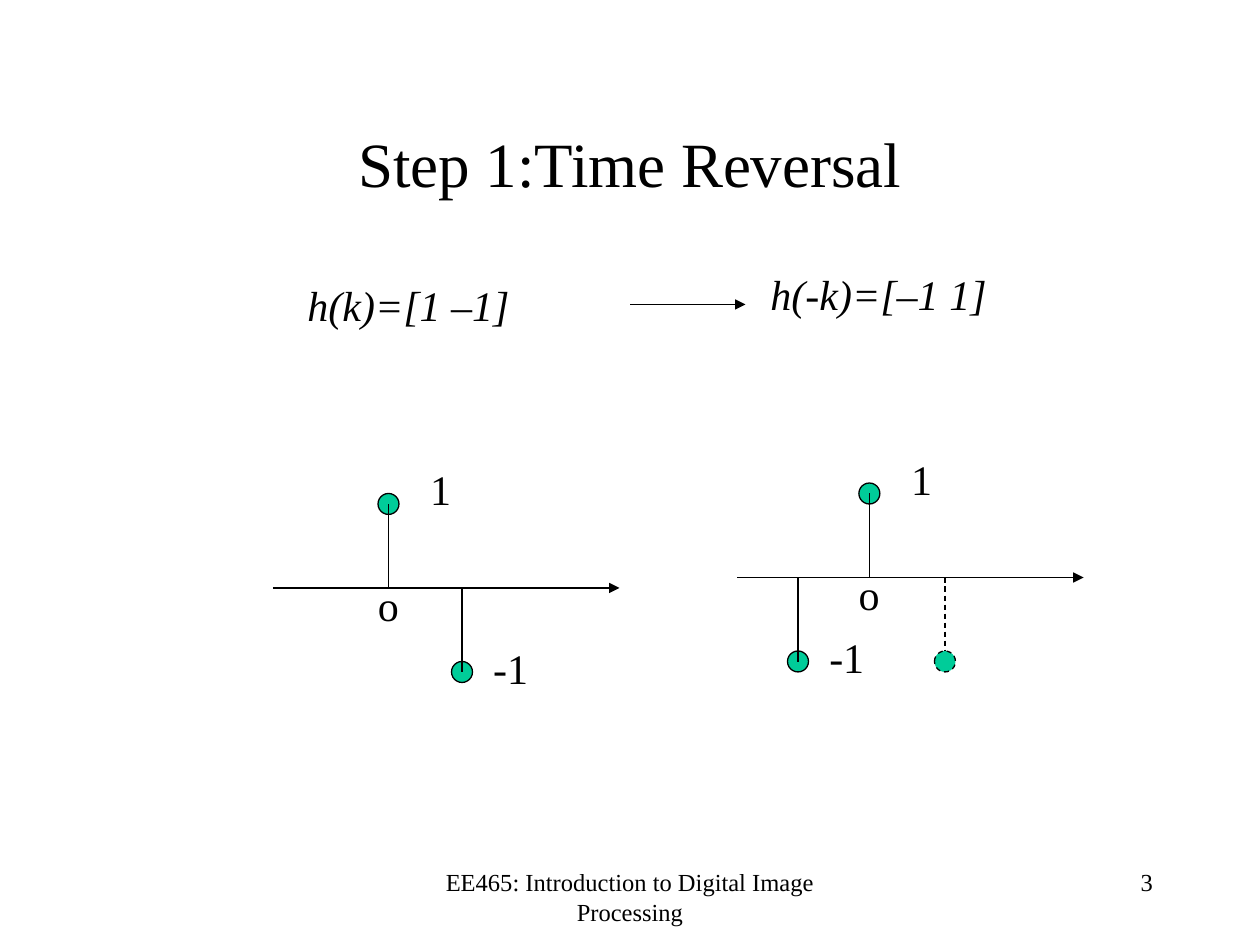
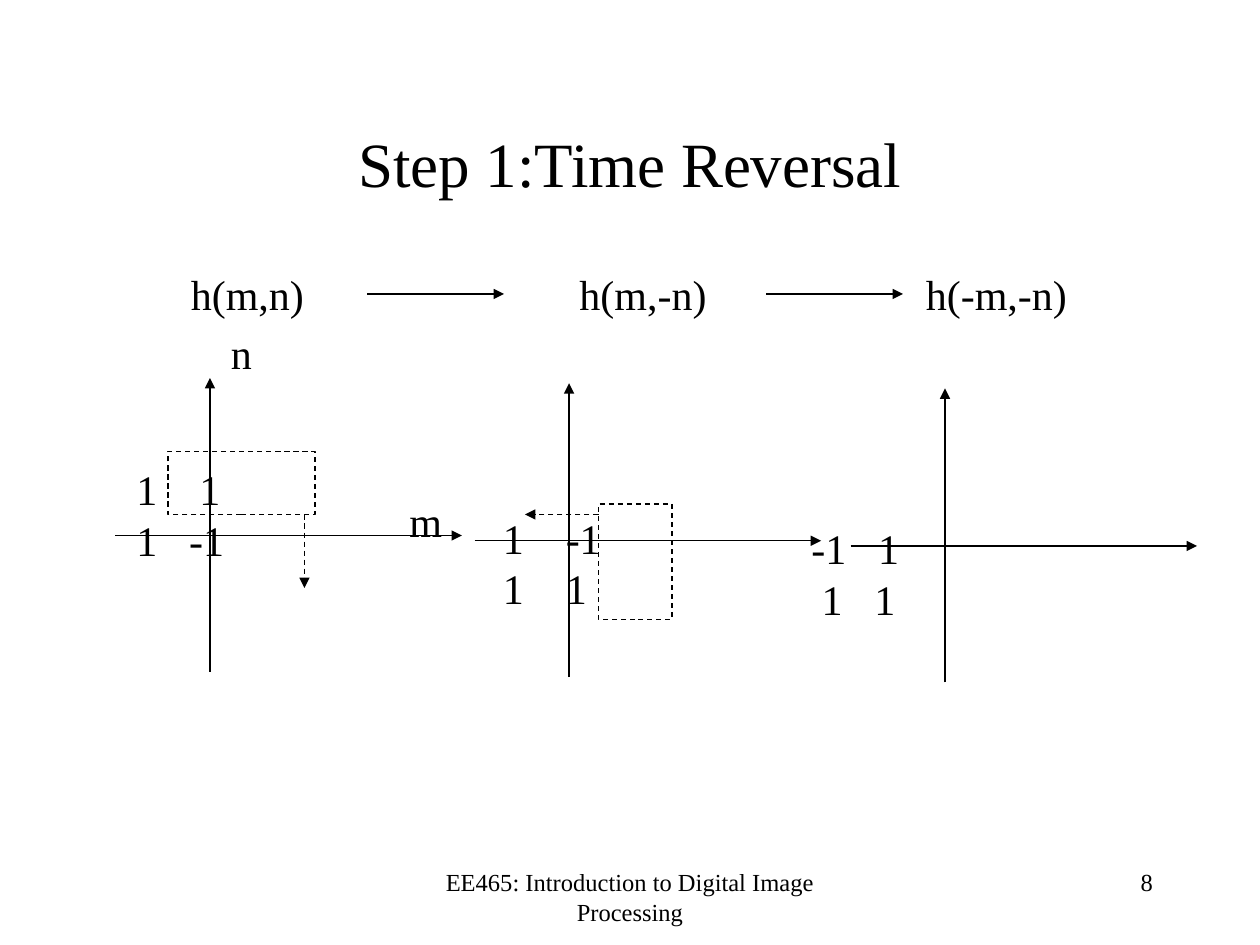
from lxml.etree import SubElement
from pptx import Presentation
from pptx.dml.color import RGBColor
from pptx.enum.dml import MSO_LINE
from pptx.enum.shapes import MSO_CONNECTOR, MSO_SHAPE
from pptx.enum.text import MSO_ANCHOR, MSO_AUTO_SIZE, PP_ALIGN
from pptx.oxml.ns import qn
from pptx.util import Inches, Pt

FONT = "Times New Roman"
BLACK, GREEN = "000000", "00CC99"
COLUMNS, ROWS = 120, 90
TITLE = "Step 1:Time Reversal"
FOOTER = "EE465: Introduction to Digital Image Processing"


def grid(cells):
    """Length of a number of grid cells, twelve to the inch."""
    return Inches(cells / 12)


def color(hex_string):
    return RGBColor.from_string(hex_string)


def write(frame, text, size=24, italic=False, align=PP_ALIGN.LEFT, tabs=()):
    """Fill a text frame, one paragraph a line; tabs holds the stops of each line in inches."""
    for index, line in enumerate(text.split("\n")):
        paragraph = frame.paragraphs[0] if index == 0 else frame.add_paragraph()
        paragraph.alignment = align
        if tabs:
            tab_list = SubElement(paragraph._p.get_or_add_pPr(), qn("a:tabLst"))
            for stop in tabs[index]:
                SubElement(tab_list, qn("a:tab"), pos=str(Inches(stop)), algn="l")
        run = paragraph.add_run()
        run.text = line
        run.font.name = FONT
        run.font.size = Pt(size)
        run.font.italic = italic
        run.font.color.rgb = color(BLACK)


class Deck:
    def __init__(self):
        self.presentation = Presentation()
        self.presentation.slide_width = grid(COLUMNS)
        self.presentation.slide_height = grid(ROWS)
        self.slide = None

    def add_slide(self, number):
        self.slide = self.presentation.slides.add_slide(self.presentation.slide_layouts[6])
        self.text(TITLE, 9, 8, 102, 15, wrap=True, anchor=MSO_ANCHOR.MIDDLE,
                  size=36, align=PP_ALIGN.CENTER)
        self.text(FOOTER, 41, 82, 38, wrap=True, size=14, align=PP_ALIGN.CENTER)
        self.text(str(number), 86, 82, 25, wrap=True, size=14, align=PP_ALIGN.RIGHT)

    def text(self, text, left, top, width, height=6, wrap=False,
             anchor=MSO_ANCHOR.TOP, **text_format):
        box = self.slide.shapes.add_textbox(grid(left), grid(top), grid(width), grid(height))
        frame = box.text_frame
        frame.word_wrap = wrap
        frame.auto_size = MSO_AUTO_SIZE.NONE if wrap else MSO_AUTO_SIZE.SHAPE_TO_FIT_TEXT
        frame.vertical_anchor = anchor
        write(frame, text, **text_format)

    def outline(self, line, dashed):
        line.color.rgb = color(BLACK)
        line.width = Pt(0.75)
        if dashed:
            line.dash_style = MSO_LINE.DASH

    def line(self, x1, y1, x2, y2, arrow=False, dashed=False):
        connector = self.slide.shapes.add_connector(
            MSO_CONNECTOR.STRAIGHT, grid(x1), grid(y1), grid(x2), grid(y2))
        self.outline(connector.line, dashed)
        properties = connector._element.spPr
        if arrow:
            SubElement(properties.find(qn("a:ln")), qn("a:tailEnd"), type="triangle")
        SubElement(properties, qn("a:effectLst"))

    def shape(self, kind, left, top, width, height, fill=None, dashed=False):
        shape = self.slide.shapes.add_shape(
            kind, grid(left), grid(top), grid(width), grid(height))
        shape.shadow.inherit = False
        if fill:
            shape.fill.solid()
            shape.fill.fore_color.rgb = color(fill)
        else:
            shape.fill.background()
        self.outline(shape.line, dashed)

    def dot(self, x, y, dashed=False):
        self.shape(MSO_SHAPE.OVAL, x - 1, y - 1, 2, 2, GREEN, dashed)

    def stem(self, x, axis_y, value):
        """Labelled sample of value 1 or -1 on a horizontal axis."""
        tip = axis_y - 8 * value
        self.dot(x, tip)
        self.line(x, axis_y, x, tip)
        if value > 0:
            self.text("1", x + 2.8, axis_y - 12.4, 4.3)
        else:
            self.text("-1", x + 1.8, axis_y + 4.6, 5.8)

    def stem_plot(self, left, axis_y, origin, negative):
        """Axis with the sample 1 at the origin and -1 beside it."""
        self.line(left, axis_y, left + 33, axis_y, arrow=True)
        self.stem(origin, axis_y, 1)
        self.stem(negative, axis_y, -1)
        self.text("o", origin - 2.2, axis_y - 1.4, 4.3)

    def equation(self, text, left, top):
        self.text(text, left, top, 27, wrap=True, italic=True)

    def axes(self, x, y):
        """Crossed axes through the origin x, y."""
        self.line(x - 9, y, x + 24, y, arrow=True)
        self.line(x, y + 13, x, y - 15, arrow=True)

    def matrix(self, text, left, top, tabs):
        self.text(text, left, top, 22.5, 10.8, wrap=True, tabs=tabs)


def add_one_dimension(deck):
    deck.add_slide(3)
    deck.equation("h(k)=[1 –1]", 28.1, 26)
    deck.line(60, 29, 71, 29, arrow=True)
    deck.equation("h(-k)=[–1 1]", 72.2, 25)
    deck.stem_plot(26, 56, origin=37, negative=44)
    deck.stem_plot(70.2, 55, origin=82.8, negative=76)
    deck.line(90, 55, 90, 63, dashed=True)
    deck.dot(90, 63, dashed=True)


def add_two_dimensions(deck):
    deck.add_slide(8)
    for label, left, width in (("h(m,n)", 17, 13.2), ("h(m,-n)", 54, 14.5),
                               ("h(-m,-n)", 87, 15.8)):
        deck.text(label, left, 25, width)
    for start in (35, 73):
        deck.line(start, 28, start + 13, 28, arrow=True)
    for x, y in ((20, 51), (54.2, 51.5), (90, 52)):
        deck.axes(x, y)
    deck.matrix("1\t1\n1\t-1", 11.8, 43.6, tabs=((0.5,), (0.42,)))
    deck.matrix("1\t-1\n1\t1", 46.7, 48.2, tabs=((0.5,), (0.5,)))
    deck.matrix("-1\t1\n\t1\t1", 76.1, 49.2, tabs=((0.53,), (0.08, 0.5)))
    deck.shape(MSO_SHAPE.RECTANGLE, 16, 43, 14, 6, dashed=True)
    deck.shape(MSO_SHAPE.RECTANGLE, 57, 48, 7, 11, dashed=True)
    deck.text("m", 37.8, 46.6, 5.5)
    deck.text("n", 20.8, 30.6, 4.3)
    deck.line(29, 49, 29, 56, arrow=True, dashed=True)
    deck.line(57, 49, 50, 49, arrow=True, dashed=True)


def main():
    deck = Deck()
    add_one_dimension(deck)
    add_two_dimensions(deck)
    deck.presentation.save("out.pptx")


if __name__ == "__main__":
    main()
